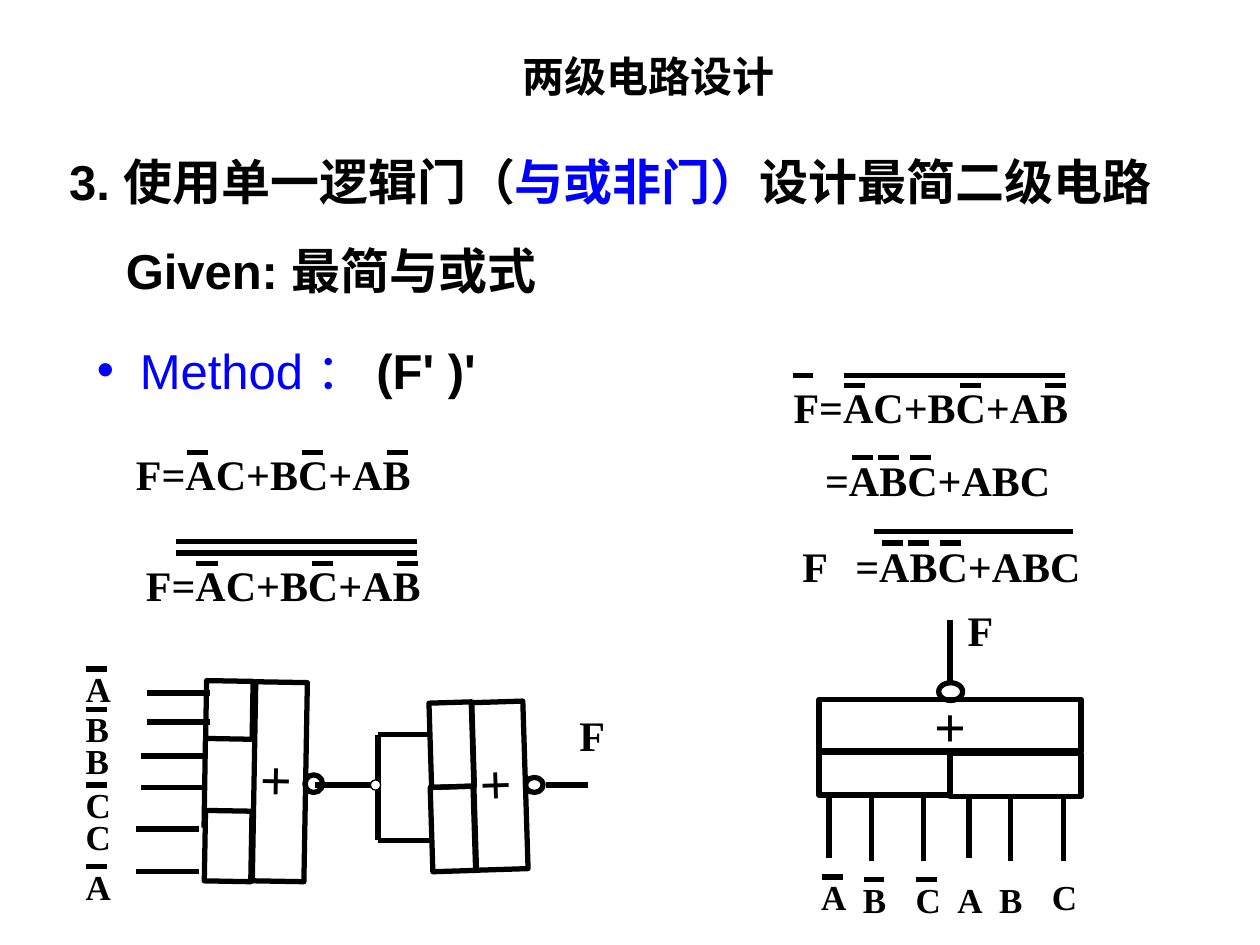
from lxml.etree import SubElement
from pptx import Presentation
from pptx.dml.color import RGBColor as Rgb
from pptx.enum.shapes import MSO_CONNECTOR as Conn, MSO_SHAPE as Form
from pptx.enum.text import MSO_ANCHOR as Anchor, MSO_AUTO_SIZE as Auto, PP_ALIGN as Align
from pptx.oxml.ns import qn
from pptx.util import Pt

BLACK, BLUE, WHITE = "000000", "0000FF", "FFFFFF"
SANS, SERIF = "Arial", "Times New Roman"
SUM, SUM_BARS = "F=AC+BC+AB", (36, 102.2, 150.5)
PROD, PROD_BARS = "=ABC+ABC", (22.3, 37.4, 55.4)


def paint(color):
    return Rgb.from_string(color)


def write(shape, *runs, size=24, font=SERIF, align=Align.LEFT,
          anchor=Anchor.TOP, wrap=True):
    """Fill a shape with one paragraph; each run is (text, colour, bold)."""
    frame = shape.text_frame
    frame.auto_size = Auto.NONE
    frame.word_wrap = wrap
    frame.vertical_anchor = anchor
    para = frame.paragraphs[0]
    para.alignment = align
    para.space_before = Pt(0)
    for text, color, bold in runs:
        run = para.add_run()
        run.text = text
        run.font.size = Pt(size)
        run.font.name = font
        run.font.bold = bold
        run.font.color.rgb = paint(color)
    return para


def place(shape, x, y, w, h):
    shape.left, shape.top, shape.width, shape.height = map(Pt, (x, y, w, h))


def label(group, text, x, y, w=30, h=36, **style):
    box = group.shapes.add_textbox(Pt(x), Pt(y), Pt(w), Pt(h))
    write(box, (text, BLACK, True), **style)


def line(group, x1, y1, x2, y2):
    wire = group.shapes.add_connector(Conn.STRAIGHT, Pt(x1), Pt(y1), Pt(x2), Pt(y2))
    wire.line.width = Pt(3)
    wire.line.color.rgb = paint(BLACK)
    SubElement(wire._element.spPr, qn("a:effectLst"))


def outline(group, form, x, y, w, h, turn=0, fill=None, weight=3):
    shape = group.shapes.add_shape(form, Pt(x), Pt(y), Pt(w), Pt(h))
    shape.shadow.inherit = False
    shape.rotation = turn
    shape.line.width = Pt(weight)
    shape.line.color.rgb = paint(BLACK)
    if fill:
        shape.fill.solid()
        shape.fill.fore_color.rgb = paint(fill)
    else:
        shape.fill.background()
    return shape


def gate(group, body, cells, ring, turn=0):
    """Draw an AND-OR-invert gate: OR body, AND cells and inverting ring."""
    main_box = outline(group, Form.RECTANGLE, *body, turn)
    write(main_box, ("+", BLACK, True), size=32, align=Align.CENTER,
          anchor=Anchor.MIDDLE, wrap=False)
    for cell in cells:
        outline(group, Form.RECTANGLE, *cell, turn)
    outline(group, Form.OVAL, *ring, turn)


def formula(slide, text, x, y, bars, drop):
    """Write a formula with short bars at the given offsets; return its group."""
    group = slide.shapes.add_group_shape()
    label(group, text, x, y, 174)
    for bar in bars:
        line(group, x + bar, y + drop, x + bar + 12, y + drop)
    return group


def signal(group, name, x, y):
    """Label an input; a final ' in the name becomes a bar above it."""
    label(group, name[0], x, y, h=31.7, size=20)
    if name.endswith("'"):
        line(group, x + 7.5, y + 4.3, x + 19.3, y + 4.3)


def heads(slide):
    title, body = slide.placeholders
    place(title, 141, 15.1, 459.4, 46.1)
    write(title, ("两级电路设计", BLACK, True), font=SANS,
          align=Align.CENTER, anchor=Anchor.BOTTOM)

    place(body, 48.2, 190.8, 260.6, 41)
    para = write(body, ("Method ： ", BLUE, False), ("(F' )'", BLACK, True),
                 size=28, font=SANS)
    props = para._p.get_or_add_pPr()
    props.set("marL", str(Pt(24.5)))
    props.set("indent", str(-Pt(24.5)))
    tint = SubElement(props, qn("a:buClr"))
    SubElement(tint, qn("a:srgbClr")).set("val", BLUE)
    SubElement(props, qn("a:buFont")).set("typeface", SANS)
    SubElement(props, qn("a:buChar")).set("char", "•")

    topic = slide.shapes.add_textbox(Pt(32.4), Pt(82.8), Pt(639.4), Pt(41))
    write(topic, ("3. 使用单一逻辑门（", BLACK, True), ("与或非门）", BLUE, True),
          ("设计最简二级电路", BLACK, True), size=28, font=SANS, wrap=False)
    label(slide, "Given: 最简与或式", 64.8, 133.9, 363, 41, size=28, font=SANS)


def sums(slide):
    formula(slide, SUM, 70.6, 252.7, SUM_BARS, 6)
    twice = formula(slide, SUM, 76.3, 316, SUM_BARS, 5.8)
    for y in (309.6, 316):
        line(twice, 100.8, y, 238.3, y)
    once = formula(slide, SUM, 446.4, 214.6, SUM_BARS, 5.8)
    line(once, 452.9, 214.6, 464.4, 214.6)
    line(once, 482.4, 214.6, 608.4, 214.6)
    formula(slide, PROD, 464.4, 256.3, PROD_BARS, 5)
    final = formula(slide, PROD, 481.7, 305.3, PROD_BARS, 5)
    label(final, "F", 451.4, 305.3, 54)
    line(final, 499.7, 303.8, 613.4, 303.8)


def chain(slide):
    """Draw the two gates in series at the lower left."""
    group = slide.shapes.add_group_shape()
    gate(group, (103, 432, 113.8, 29.5),
         [(114.5, 392.4, 33.1, 26.6), (110.2, 470.2, 40.3, 26.6)],
         (174.2, 442.8, 10.1, 10.1), 91)
    line(group, 117.4, 422.6, 116.6, 473)
    for x, y in ((84.2, 396), (84.2, 412.6), (80.6, 432),
                 (80.6, 450), (77.8, 473.8), (77.8, 498.2)):
        line(group, x, y, x + 36, y)
    for name, y in (("A'", 378), ("B'", 401), ("B", 419),
                    ("C'", 444.2), ("C", 462.2), ("A'", 491)):
        signal(group, name, 41.8, y)

    line(group, 180, 448.6, 216, 448.6)
    gate(group, (237.6, 434.2, 95.8, 29.5),
         [(234, 413.3, 48.2, 24.5), (234.7, 461.5, 48.2, 24.5)],
         (301, 443.5, 8.6, 10.1), 88.2)
    for y in (419.8, 480.2):
        line(group, 216, 448.6, 216, y)
        line(group, 216, y, 246.2, y)
    outline(group, Form.OVAL, 211.7, 445.7, 5.8, 5.8, fill=WHITE, weight=0.75)
    line(group, 311.8, 448.6, 336.2, 448.6)
    label(group, "F", 324, 401.8)


def single(slide):
    """Draw the one-gate circuit at the lower right."""
    group = slide.shapes.add_group_shape()
    gate(group, (468, 399.6, 149.8, 29.5),
         [(468, 429.8, 74.9, 24.5), (542.9, 430.6, 74.9, 24.5)],
         (536.4, 390.2, 13.7, 10.1))
    for x, y in ((473.8, 454.3), (498.2, 455.8), (527.8, 455.8),
                 (553.7, 454.3), (577.4, 455.8), (607.7, 455.8)):
        line(group, x, y, x, y + 36)
    for name, x, y in (("A'", 462.2, 496.8), ("B'", 486, 498.2),
                       ("C'", 516.2, 498.2), ("A", 540, 498.2),
                       ("B", 563.8, 498.2), ("C", 594, 496.8)):
        signal(group, name, x, y)
    line(group, 542.9, 390.2, 542.9, 354.2)
    label(group, "F", 545.8, 342, 48)


def main():
    deck = Presentation()
    deck.slide_width, deck.slide_height = Pt(720), Pt(540)
    slide = deck.slides.add_slide(deck.slide_layouts[1])
    heads(slide)
    sums(slide)
    chain(slide)
    single(slide)
    deck.save("out.pptx")


if __name__ == "__main__":
    main()
